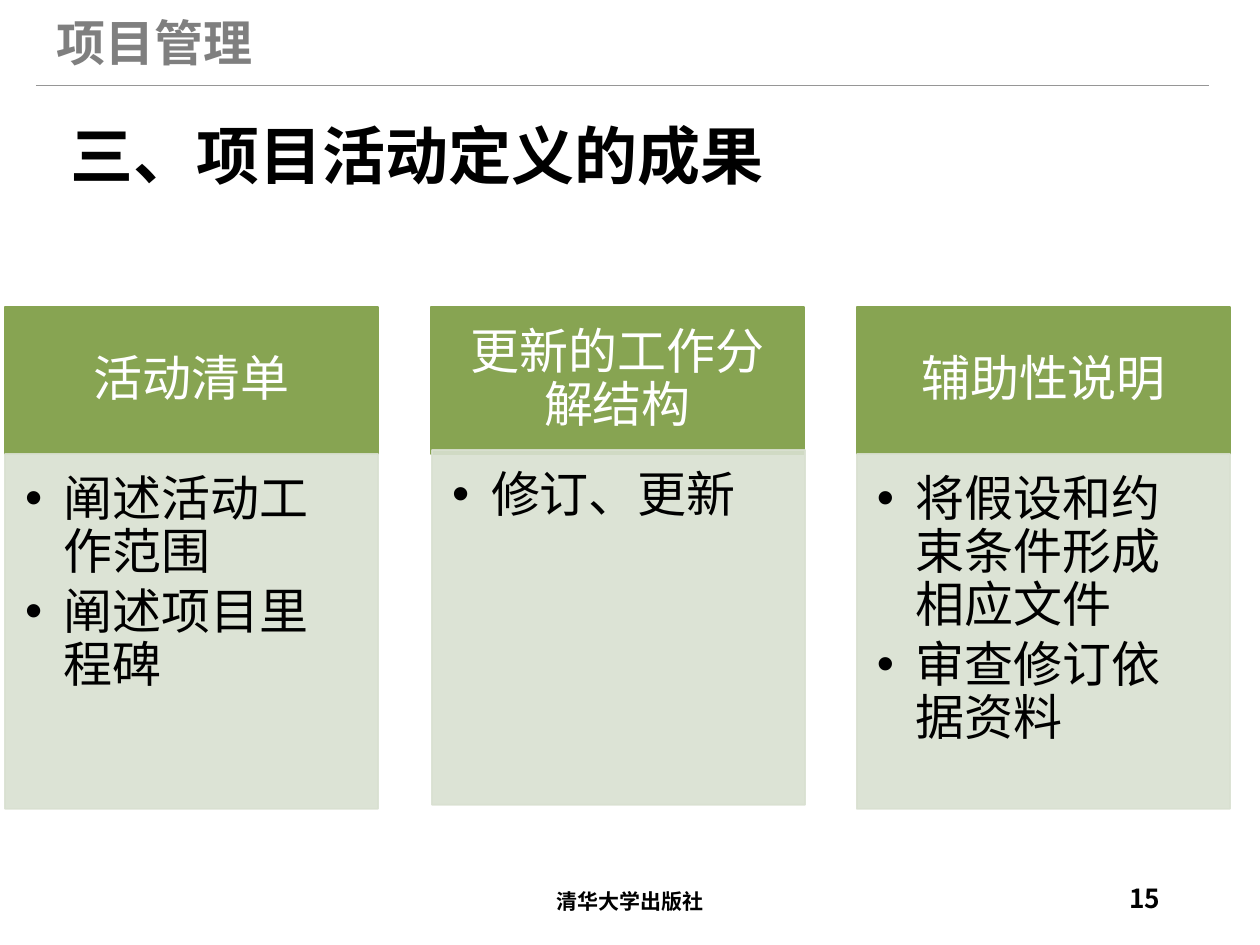
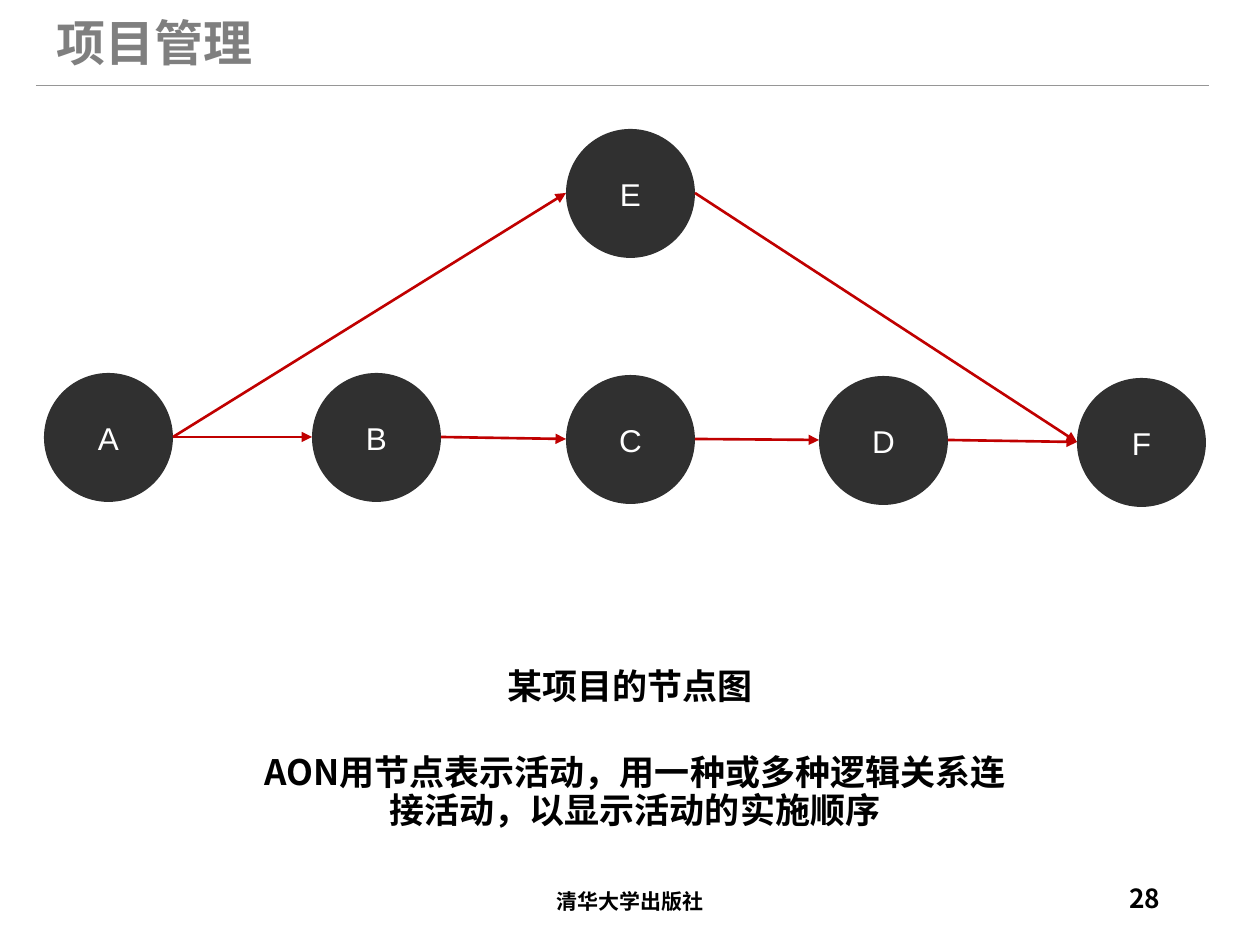
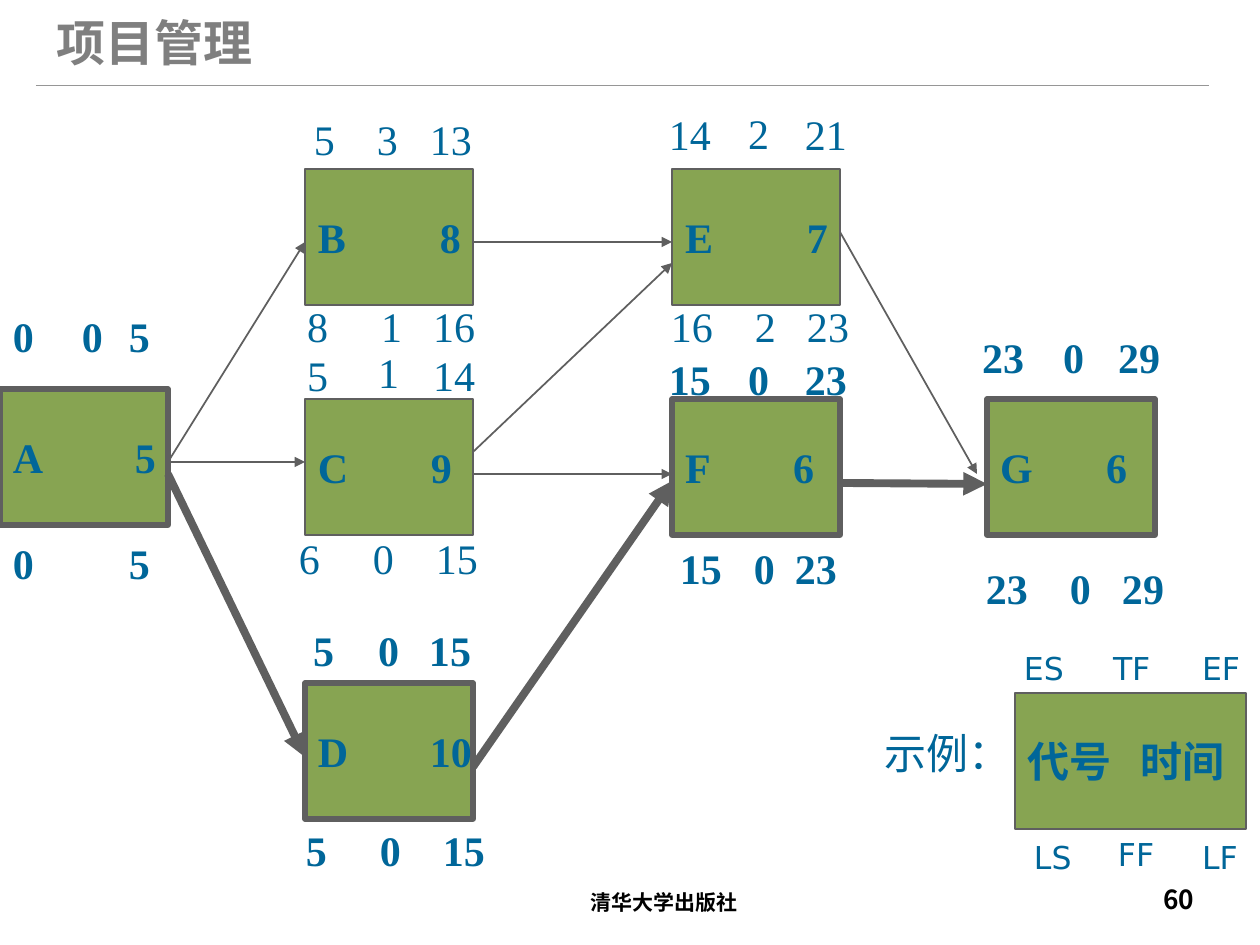
from lxml import etree
from pptx import Presentation
from pptx import util as u
from pptx.dml.color import RGBColor
from pptx.enum import shapes, text
from pptx.oxml.ns import qn

GREEN = RGBColor(0x87, 0xA4, 0x52)
PALE = RGBColor(0xD9, 0xE0, 0xD1)
GREY = RGBColor(0x7F, 0x7F, 0x7F)
RULE = RGBColor(0x96, 0x96, 0x96)
EDGE = RGBColor(0x5F, 0x5F, 0x5F)
DARK = RGBColor(0x30, 0x30, 0x30)
RED = RGBColor(0xC0, 0x00, 0x00)
BLUE = RGBColor(0x00, 0x66, 0x99)
BLACK = RGBColor(0x00, 0x00, 0x00)
WHITE = RGBColor(0xFF, 0xFF, 0xFF)
SANS, SERIF, PLAIN, SCREEN = "Noto Sans CJK SC", "Times New Roman", "Arial", "DejaVu Sans"
LEFT, CENTER, RIGHT = text.PP_ALIGN.LEFT, text.PP_ALIGN.CENTER, text.PP_ALIGN.RIGHT
TOP, MIDDLE, BOTTOM = text.MSO_ANCHOR.TOP, text.MSO_ANCHOR.MIDDLE, text.MSO_ANCHOR.BOTTOM
RECT = shapes.MSO_SHAPE.RECTANGLE
CIRCLE = shapes.MSO_SHAPE.FLOWCHART_CONNECTOR
INSETS = (13, 6, 13, 6)

COLUMNS = [
    ("活动清单", ["阐述活动工作范围", "阐述项目里程碑"], (5, 454)),
    ("更新的工作分解结构", ["修订、更新"], (432, 450)),
    ("辅助性说明", ["将假设和约束条件形成相应文件", "审查修订依据资料"], (857, 454)),
]

DIAMETER = 129
NODES = {"A": (44, 373), "B": (312, 373), "C": (566, 375),
         "D": (819, 376), "E": (566, 129), "F": (1077, 378)}
LINKS = ["AB", "AE", "BC", "CD", "DF", "EF"]

ACTIVITIES = [
    ("A\t5", 0, 389, 122, 3), ("B\t8", 305, 169, 122, 1), ("C\t9", 305, 399, 113, 1),
    ("D\t10", 305, 683, 112, 3), ("E\t7", 672, 169, 122, 1), ("F\t6", 672, 399, 108, 3),
    ("G\t6", 987, 399, 106, 3),
]
ARROWS = [
    ((168, 462), (305, 462), 1), ((473, 242), (672, 242), 1),
    ((840, 483), (987, 484), 4.5), ((473, 474), (672, 474), 1),
    ((168, 462), (305, 242), 1), ((168, 474), (305, 757), 4.5),
    ((840, 232), (977, 474), 1), ((473, 767), (672, 481), 4.5),
    ((473, 452), (672, 263), 1),
]
TIMES = [
    ("5\t3\t13", 301, 108, 265, (63, 116), False),
    ("8\t1\t16", 294, 295, 220, (74, 126), False),
    ("0\t5", 0, 305, 168, (116,), True),
    ("0\t5", 0, 532, 168, (116,), True),
    ("5\t14", 294, 344, 210, (126,), False),
    ("6\t0\t15", 286, 527, 225, (74, 137), False),
    ("5\t15", 300, 619, 197, (116,), True),
    ("5\t0\t15", 293, 819, 225, (74, 137), True),
    ("14\t21", 656, 103, 215, (136,), False),
    ("16\t2\t23", 658, 295, 232, (84, 136), False),
    ("15\t23", 656, 348, 215, (136,), True),
    ("15\t0\t23", 667, 537, 200, (74, 115), True),
    ("23\t29", 969, 326, 231, (136,), True),
    ("23\t0\t29", 973, 557, 220, (84, 136), True),
]
FLOATS = [("0", 69, 305, True), ("1", 365, 341, False), ("0", 365, 619, True),
          ("2", 735, 102, False), ("0", 735, 348, True), ("0", 1050, 326, True)]
KEYS = [("ES", 1011, 643), ("TF", 1100, 643), ("EF", 1189, 643),
        ("LS", 1021, 832), ("FF", 1105, 829), ("LF", 1189, 832)]


def px(count):
    """Turn pixels into EMU."""
    return u.Emu(round(count * 914400 / 126))


def add_child(parent, tag, **attributes):
    """Append an element with the given attributes."""
    child = etree.SubElement(parent, qn(tag))
    for name, value in attributes.items():
        child.set(name, str(value))
    return child


def write(frame, lines, size=24, font=SERIF, color=BLUE, bold=False, align=LEFT, anchor=TOP,
          wrap=True, insets=INSETS, spacing=None, after=None, tabs=(), bullet=False):
    """Fill a text frame with formatted paragraphs."""
    frame.word_wrap = wrap
    frame.vertical_anchor = anchor
    frame.margin_left, frame.margin_top, frame.margin_right, frame.margin_bottom = map(px, insets)
    for index, line in enumerate(lines):
        para = frame.add_paragraph() if index else frame.paragraphs[0]
        para.alignment = align
        if spacing:
            para.line_spacing = spacing
        if after:
            para.space_after = u.Pt(after)
        props = para._p.get_or_add_pPr()
        if bullet:
            props.set("marL", str(px(39)))
            props.set("indent", str(-px(39)))
            add_child(props, "a:buFont", typeface=font)
            add_child(props, "a:buChar", char="•")
        if tabs:
            stops = add_child(props, "a:tabLst")
            for stop in tabs:
                add_child(stops, "a:tab", pos=px(stop), algn="l")
        span = para.add_run()
        span.text = line
        span.font.size, span.font.name, span.font.bold = u.Pt(size), font, bold
        span.font.color.rgb = color
        add_child(span.font._element, "a:ea", typeface=SANS)


def add_label(page, words, left, top, width, height, **style):
    """Add a text box holding one paragraph."""
    box = page.shapes.add_textbox(px(left), px(top), px(width), px(height))
    write(box.text_frame, [words], **style)


def add_block(page, kind, lines, left, top, width, height, fill, edge=None, weight=1, **style):
    """Add a filled shape with text inside."""
    block = page.shapes.add_shape(kind, px(left), px(top), px(width), px(height))
    block.shadow.inherit = False
    block.fill.solid()
    block.fill.fore_color.rgb = fill
    if edge is None:
        block.line.fill.background()
    else:
        block.line.color.rgb = edge
        block.line.width = u.Pt(weight)
    write(block.text_frame, lines, **style)
    return block


def add_line(page, start, end, color, weight, arrow=True):
    """Draw a straight line, with an arrowhead at its end if wanted."""
    line = page.shapes.add_connector(shapes.MSO_CONNECTOR.STRAIGHT, *map(px, start + end))
    line.line.color.rgb = color
    line.line.width = u.Pt(weight)
    props = line.element.spPr
    if arrow:
        add_child(props.find(qn("a:ln")), "a:tailEnd", type="triangle")
    add_child(props, "a:effectLst")


def add_page(deck, number, shift=(0, 0)):
    """Add a slide with the running header, rule and footer."""
    page = deck.slides.add_slide(deck.slide_layouts[6])
    right, down = shift
    add_line(page, (36, 85), (1209, 85), RULE, 0.5, arrow=False)
    add_label(page, "项目管理", 44, 6, 223, 72, size=28, font=SANS, color=GREY, bold=True,
              wrap=False)
    footer = dict(font=SANS, color=BLACK, bold=True, anchor=MIDDLE)
    add_label(page, "清华大学出版社", 417 + right, 876 + down, 426, 50, size=12, align=CENTER,
              **footer)
    add_label(page, str(number), 890 + right, 876 + down, 283, 50, size=15, align=RIGHT,
              spacing=0.8, **footer)
    return page


def add_title(page, words, left, top, width, height, size=20, align=CENTER):
    """Add a bold heading that stands on the bottom of its box."""
    add_label(page, words, left, top, width, height, size=size, align=align, font=SANS,
              color=BLACK, bold=True, anchor=BOTTOM, spacing=0.9)


def build_results(deck):
    """Build the three columns of definition results."""
    page = add_page(deck, 15)
    add_title(page, "三、项目活动定义的成果", 58, 102, 1143, 97, size=36, align=LEFT)
    body = dict(size=28, font=PLAIN, spacing=0.9)
    for index, (heading, points, (left, top)) in enumerate(COLUMNS):
        add_block(page, RECT, [heading], 5 + 426 * index, 307, 373, 147, GREEN, GREEN,
                  color=WHITE, align=CENTER, anchor=MIDDLE, insets=(28, 15, 28, 15), **body)
        panel = add_block(page, RECT, points, left, top, 373, 355, PALE, PALE, color=BLACK,
                          insets=(20, 20, 28, 30), after=4, bullet=True, **body)
        for tint in panel.element.spPr.iter(qn("a:srgbClr")):
            add_child(tint, "a:alpha", val=90000)


def build_node_diagram(deck):
    """Build the activity-on-node diagram."""
    page = add_page(deck, 28)
    add_title(page, "某项目的节点图", 243, 607, 774, 106)
    for name, (left, top) in NODES.items():
        add_block(page, CIRCLE, [name], left, top, DIAMETER, DIAMETER, DARK, size=18,
                  font=PLAIN, color=WHITE, align=CENTER, anchor=MIDDLE)
    for source, target in LINKS:
        left, top = NODES[source]
        end_left, end_top = NODES[target]
        add_line(page, (left + DIAMETER, top + DIAMETER // 2),
                 (end_left, end_top + DIAMETER // 2), RED, 1.5)
    add_title(page, "AON用节点表示活动，用一种或多种逻辑关系连接活动，以显示活动的实施顺序",
              248, 731, 774, 106)


def build_schedule(deck):
    """Build the network with its early, late and float times."""
    page = add_page(deck, 60, shift=(34, 1))
    inside = dict(bold=True, anchor=MIDDLE, insets=(13, 6, 0, 6))
    for words, left, top, stop, weight in ACTIVITIES:
        add_block(page, RECT, [words], left, top, 168, 136, GREEN, EDGE, weight,
                  tabs=(stop,), **inside)
    for start, end, weight in ARROWS:
        add_line(page, start, end, EDGE, weight)
    add_block(page, RECT, ["代号\t时间"], 1015, 693, 231, 136, GREEN, EDGE, tabs=(113,), **inside)
    for words, left, top, width, stops, bold in TIMES:
        add_label(page, words, left, top, width, 63, tabs=stops, bold=bold)
    for words, left, top, bold in FLOATS:
        add_label(page, words, left, top, 47, 63, wrap=False, bold=bold)
    add_label(page, "示例：", 872, 722, 151, 63, wrap=False)
    for words, left, top in KEYS:
        add_label(page, words, left, top, 70, 50, size=18, font=SCREEN,
                  insets=(13, 6, 0, 6))


def main():
    """Build and save the deck."""
    deck = Presentation()
    deck.slide_width, deck.slide_height = px(1260), px(945)
    build_results(deck)
    build_node_diagram(deck)
    build_schedule(deck)
    deck.save("out.pptx")


if __name__ == "__main__":
    main()
